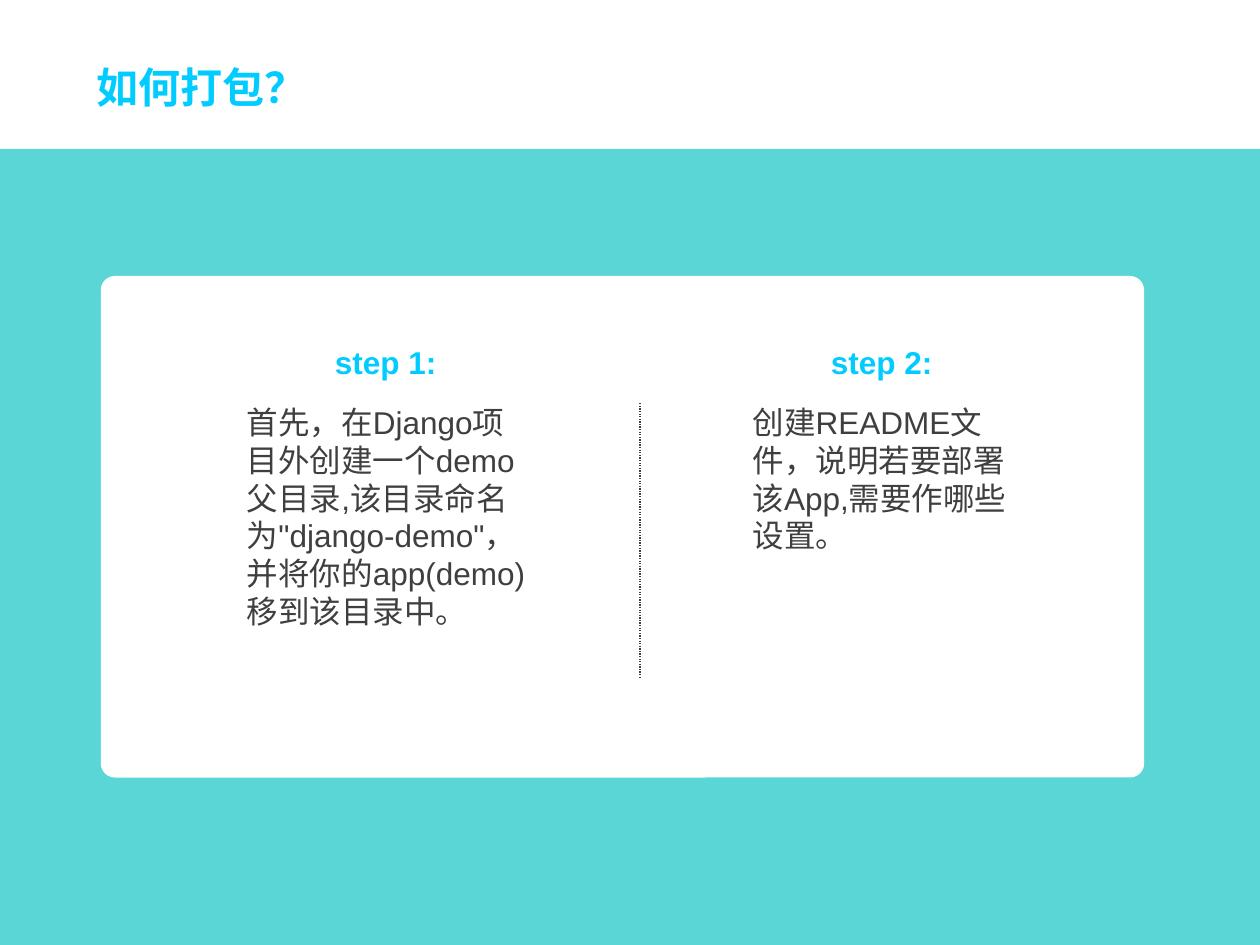
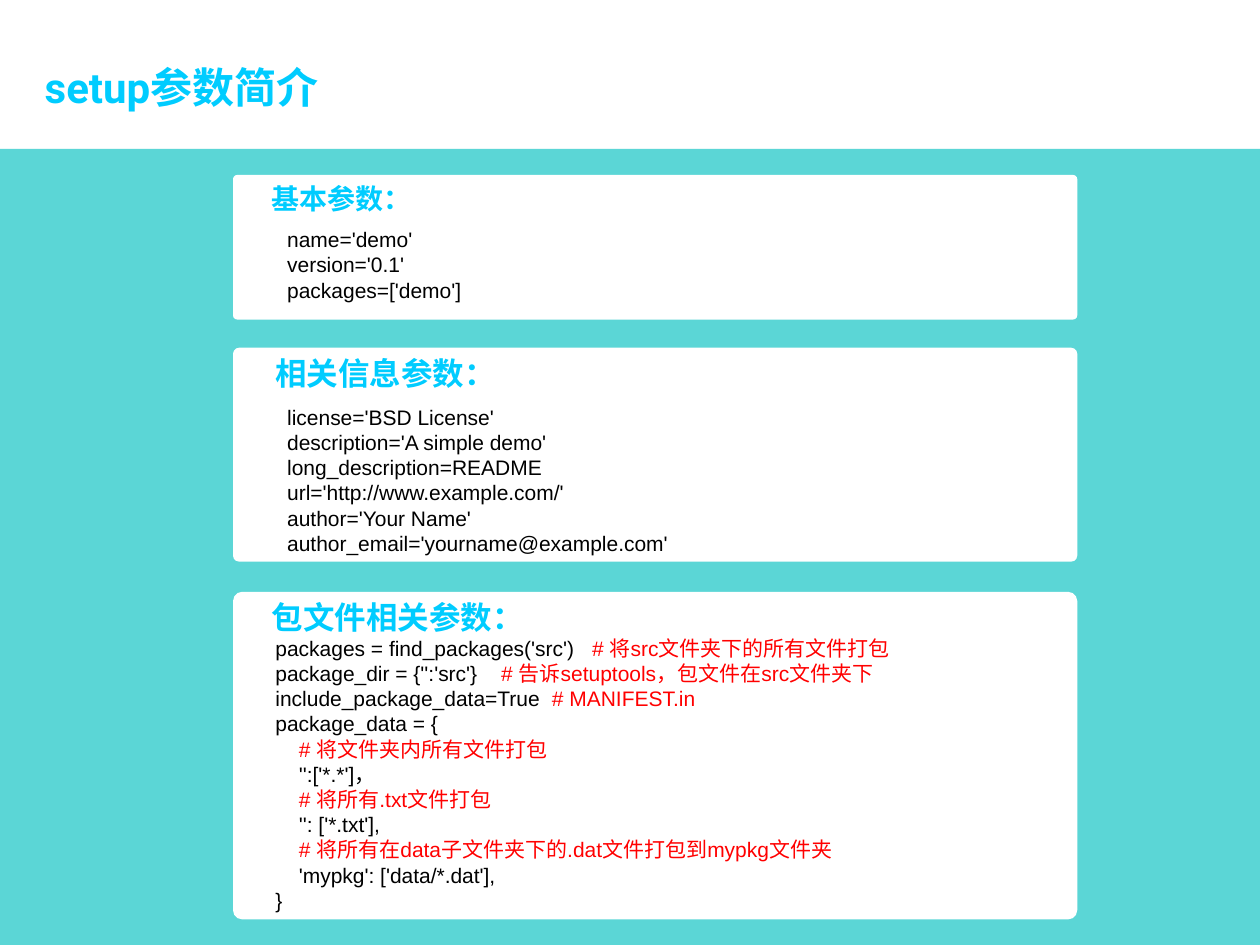
from dataclasses import dataclass
from typing import Optional

import lxml.etree
import pptx
import pptx.dml.color
import pptx.enum.dml
import pptx.enum.shapes
import pptx.enum.text
import pptx.oxml.ns
import pptx.shapes.autoshape
import pptx.slide
import pptx.util

Pt = pptx.util.Pt
qn = pptx.oxml.ns.qn

# Shared look
SLIDE_WIDTH, SLIDE_HEIGHT = 720, 540
BAND_TOP = 85
TITLE_TOP, TITLE_HEIGHT = 31.75, 36
CORNER = 0.028
TEAL, SKY, WHITE = "33CCCC", "00CCFF", "FFFFFF"
GREY, BLACK, RED = "3F3F3F", "000000", "FF0000"


@dataclass(frozen=True)
class Box:
    left: float
    top: float
    width: float
    height: float

    def lengths(self) -> list[pptx.util.Length]:
        return [Pt(value) for value in (self.left, self.top, self.width, self.height)]


@dataclass(frozen=True)
class Run:
    text: str
    color: Optional[str] = None
    font: Optional[str] = None


@dataclass(frozen=True)
class Line:
    runs: tuple[Run, ...]
    indent: float = 0
    tab: float = 0


@dataclass(frozen=True)
class Step:
    heading: str
    heading_left: float
    body: str
    body_box: Box


@dataclass(frozen=True)
class Card:
    box: Box
    heading: str
    heading_left: float
    heading_size: float
    lines: tuple[Line, ...]
    body_box: Box


def plain(text: str, indent: float = 0) -> Line:
    return Line((Run(text),), indent)


def comment(text: str, indent: float = 0) -> Line:
    return Line((Run(text, RED),), indent)


def code_with_comment(code: str, note: str, tab: float) -> Line:
    return Line((Run(code + "\t"), Run(note, RED)), tab=tab)


CODE_INDENT = 13.4
STEPS = (
    Step("step 1:", 184.25,
         "首先，在Django项目外创建一个demo父目录,该目录命名为\"django-demo\"，"
         "并将你的app(demo)移到该目录中。", Box(134, 226.75, 173.5, 158.5)),
    Step("step 2:", 467.75,
         "创建README文件，说明若要部署该App,需要作哪些设置。",
         Box(423, 226.75, 162, 93.5)),
)
CARD_LEFT, CARD_WIDTH = 133.2, 482.4
CARDS = (
    Card(Box(CARD_LEFT, 100, CARD_WIDTH, 82.6), "基本参数：", 148.3, 16,
         tuple(map(plain, ("name='demo'", "version='0.1'", "packages=['demo']"))),
         Box(157, 126, 317, 50)),
    Card(Box(CARD_LEFT, 198.7, CARD_WIDTH, 122.2), "相关信息参数：", 150.3, 18,
         tuple(map(plain, (
             "license='BSD License'",
             "description='A simple demo'",
             "long_description=README",
             "url='http://www.example.com/'",
             "author='Your Name'",
             "author_email='yourname@example.com'"))),
         Box(157, 227.5, 317, 94)),
    Card(Box(CARD_LEFT, 338.2, CARD_WIDTH, 187.2), "包文件相关参数：", 148.3, 18,
         (code_with_comment("packages = find_packages('src')",
                            "# 将src文件夹下的所有文件打包", 181),
          code_with_comment("package_dir = {'':'src'}",
                            "# 告诉setuptools，包文件在src文件夹下", 129),
          code_with_comment("include_package_data=True", "# MANIFEST.in", 158),
          plain("package_data = {"),
          comment("# 将文件夹内所有文件打包", CODE_INDENT),
          plain("'':['*.*']，", CODE_INDENT),
          comment("# 将所有.txt文件打包", CODE_INDENT),
          plain("'': ['*.txt'],", CODE_INDENT),
          comment("# 将所有在data子文件夹下的.dat文件打包到mypkg文件夹", CODE_INDENT),
          plain("'mypkg': ['data/*.dat'],", CODE_INDENT),
          plain("}")),
         Box(150.3, 359.5, 475, 166)),
)


def rgb(color: str) -> pptx.dml.color.RGBColor:
    return pptx.dml.color.RGBColor.from_string(color)


def add_panel(slide: pptx.slide.Slide, box: Box, color: str,
              rounded: bool = False) -> pptx.shapes.autoshape.Shape:
    kinds = pptx.enum.shapes.MSO_SHAPE
    kind = kinds.ROUNDED_RECTANGLE if rounded else kinds.RECTANGLE
    shape = slide.shapes.add_shape(kind, *box.lengths())
    if rounded:
        shape.adjustments[0] = CORNER
    shape.shadow.inherit = False
    shape.fill.solid()
    shape.fill.fore_color.rgb = rgb(color)
    shape.line.fill.background()
    return shape


def add_text(slide: pptx.slide.Slide, box: Box, lines: tuple[Line, ...], *,
             size: float, color: str, font: str = "Arial", bold: bool = False,
             centered: bool = False, wrap: bool = True) -> None:
    frame = slide.shapes.add_textbox(*box.lengths()).text_frame
    frame.word_wrap = wrap
    frame.auto_size = pptx.enum.text.MSO_AUTO_SIZE.SHAPE_TO_FIT_TEXT
    for index, line in enumerate(lines):
        paragraph = frame.add_paragraph() if index else frame.paragraphs[0]
        if centered:
            paragraph.alignment = pptx.enum.text.PP_ALIGN.CENTER
        properties = paragraph._p.get_or_add_pPr()
        if line.indent:
            properties.set("marL", str(Pt(line.indent)))
        if line.tab:
            tabs = lxml.etree.SubElement(properties, qn("a:tabLst"))
            lxml.etree.SubElement(tabs, qn("a:tab"), pos=str(Pt(line.tab)), algn="l")
        for part in line.runs:
            run = paragraph.add_run()
            run.text = part.text
            run.font.size = Pt(size)
            run.font.bold = bold
            run.font.name = part.font or font
            run.font.color.rgb = rgb(part.color or color)


def add_divider(slide: pptx.slide.Slide, x: float, top: float, bottom: float) -> None:
    connector = slide.shapes.add_connector(
        pptx.enum.shapes.MSO_CONNECTOR.STRAIGHT, Pt(x), Pt(top), Pt(x), Pt(bottom))
    connector.line.color.rgb = rgb(GREY)
    connector.line.width = Pt(0.75)
    connector.line.dash_style = pptx.enum.dml.MSO_LINE.ROUND_DOT
    lxml.etree.SubElement(connector._element.spPr, qn("a:effectLst"))


def add_base_slide(presentation, title: tuple[Run, ...], left: float,
                   width: float) -> pptx.slide.Slide:
    """Add a slide with the teal band and its title."""
    slide = presentation.slides.add_slide(presentation.slide_layouts[6])
    band = add_panel(
        slide, Box(0, BAND_TOP, SLIDE_WIDTH, SLIDE_HEIGHT - BAND_TOP), TEAL)
    band_color = band._element.spPr.find(qn("a:solidFill"))[0]
    lxml.etree.SubElement(band_color, qn("a:alpha"), val="80000")
    add_text(slide, Box(left, TITLE_TOP, width, TITLE_HEIGHT), (Line(title),), size=24,
             color=SKY, font="Arial Narrow", bold=True, centered=True, wrap=False)
    return slide


def build_packaging_slide(presentation) -> None:
    slide = add_base_slide(presentation, (Run("如何打包？"),), 36, 134)
    add_panel(slide, Box(57.6, 157.7, 596.2, 286.6), WHITE, rounded=True)
    for step in STEPS:
        add_text(slide, step.body_box, (plain(step.body),), size=18, color=GREY)
        add_text(slide, Box(step.heading_left, 192.25, 73.5, 29),
                 (plain(step.heading),), size=18, color=SKY, bold=True, wrap=False)
    add_divider(slide, 365.8, 230.4, 388)


def build_parameters_slide(presentation) -> None:
    title = (Run("setup", font="Roboto"), Run("参数简介"))
    slide = add_base_slide(presentation, title, 12.25, 183)
    for card in CARDS:
        add_panel(slide, card.box, WHITE, rounded=True)
        add_text(slide, Box(card.heading_left, card.box.top, 206.6, 29),
                 (plain(card.heading),), size=card.heading_size, color=SKY, bold=True)
        add_text(slide, card.body_box, card.lines, size=12, color=BLACK)


def main() -> None:
    presentation = pptx.Presentation()
    presentation.slide_width = Pt(SLIDE_WIDTH)
    presentation.slide_height = Pt(SLIDE_HEIGHT)
    build_packaging_slide(presentation)
    build_parameters_slide(presentation)
    presentation.save("out.pptx")


if __name__ == "__main__":
    main()
